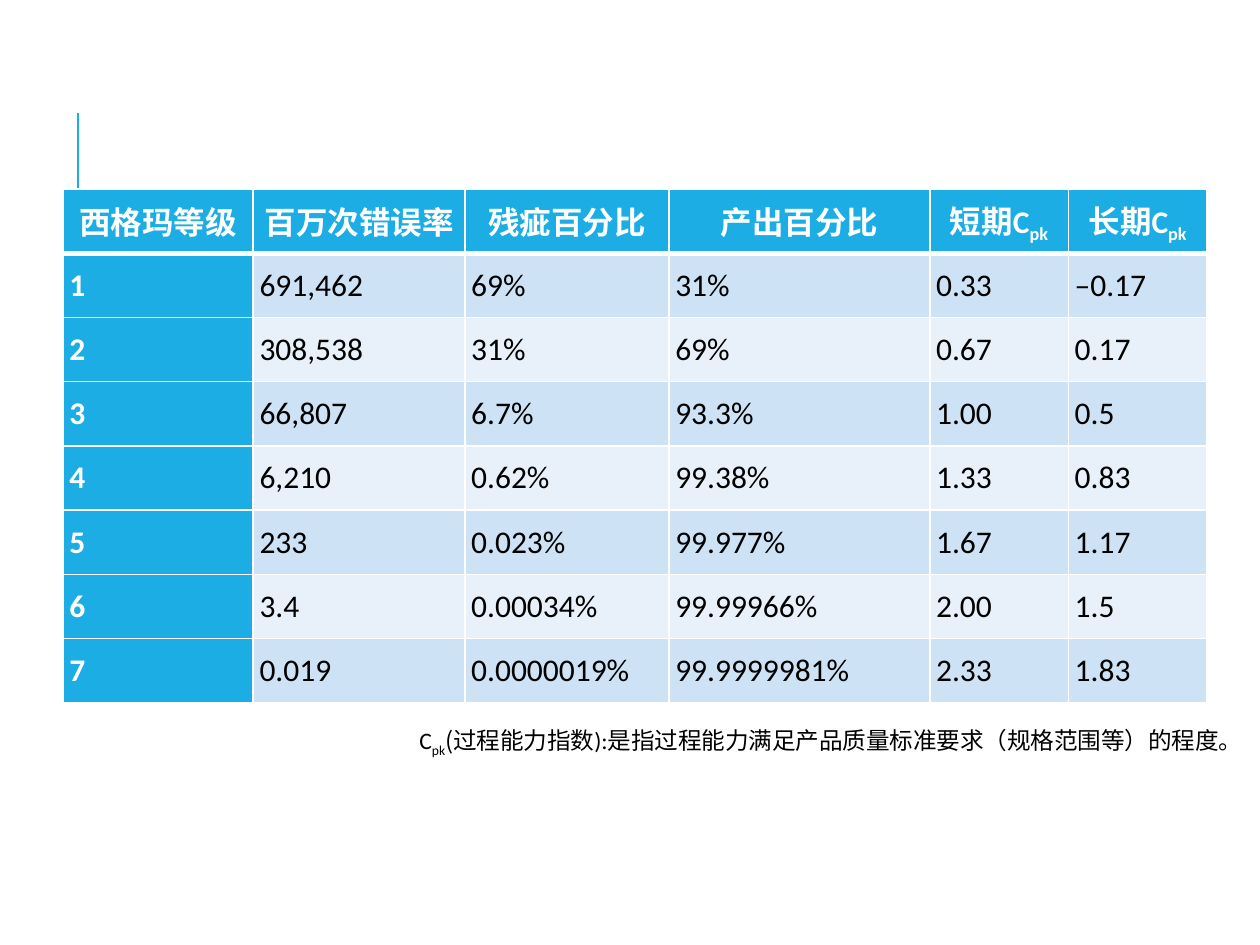
from lxml.etree import SubElement
from pptx import Presentation
from pptx.dml.color import RGBColor
from pptx.enum.shapes import MSO_CONNECTOR
from pptx.enum.text import MSO_ANCHOR, PP_ALIGN
from pptx.oxml.ns import qn
from pptx.util import Inches, Pt

BLUE = RGBColor(0x1C, 0xAD, 0xE4)
PALE_BLUE = RGBColor(0xCD, 0xE3, 0xF5)
PALEST_BLUE = RGBColor(0xE8, 0xF1, 0xFA)
WHITE = RGBColor(0xFF, 0xFF, 0xFF)
BLACK = RGBColor(0, 0, 0)
LATIN_FONT = "Calibri"
CHINESE_FONT = "Noto Sans CJK SC"

COLUMN_WIDTHS = [1.51, 1.68, 1.62, 2.07, 1.1, 1.1]
ROW_HEIGHT = 0.51
HEADINGS = [
    ["西格玛等级"], ["百万次错误率"], ["残疵百分比"], ["产出百分比"],
    ["短期C", "pk"], ["长期C", "pk"],
]
SIGMA_LEVELS = [
    ["1", "691,462", "69%", "31%", "0.33", "–0.17"],
    ["2", "308,538", "31%", "69%", "0.67", "0.17"],
    ["3", "66,807", "6.7%", "93.3%", "1.00", "0.5"],
    ["4", "6,210", "0.62%", "99.38%", "1.33", "0.83"],
    ["5", "233", "0.023%", "99.977%", "1.67", "1.17"],
    ["6", "3.4", "0.00034%", "99.99966%", "2.00", "1.5"],
    ["7", "0.019", "0.0000019%", "99.9999981%", "2.33", "1.83"],
]


def add_run(paragraph, text, size, color, bold=False, font=LATIN_FONT):
    run = paragraph.add_run()
    run.text = text
    run.font.size = Pt(size)
    run.font.bold = bold
    run.font.color.rgb = color
    run.font.name = font
    properties = run.font._element
    SubElement(properties, qn("a:ea"), typeface=CHINESE_FONT)
    if text == "pk":
        properties.set("baseline", "-25000")


def add_border(cell, side, points):
    border = SubElement(cell._tc.get_or_add_tcPr(), qn(f"a:{side}"), w=str(Pt(points)))
    fill = SubElement(border, qn("a:solidFill"))
    SubElement(fill, qn("a:srgbClr"), val=str(WHITE))


def fill_cell(cell, parts, fill, color, bold, alignment, top=1, bottom=1):
    for side, points in (("lnL", 1), ("lnR", 1), ("lnT", top), ("lnB", bottom)):
        add_border(cell, side, points)
    cell.fill.solid()
    cell.fill.fore_color.rgb = fill
    cell.vertical_anchor = MSO_ANCHOR.MIDDLE
    cell.margin_left = cell.margin_right = Inches(0.05)
    cell.margin_top = cell.margin_bottom = Inches(0.03)
    paragraph = cell.text_frame.paragraphs[0]
    paragraph.alignment = alignment
    for part in parts:
        add_run(paragraph, part, 18, color, bold)


def add_sigma_table(slide):
    row_count = len(SIGMA_LEVELS) + 1
    table = slide.shapes.add_table(
        row_count, len(HEADINGS), Inches(0.5), Inches(1.5),
        Inches(sum(COLUMN_WIDTHS)), Inches(ROW_HEIGHT * row_count),
    ).table
    for column, width in zip(table.columns, COLUMN_WIDTHS):
        column.width = Inches(width)
    for row in table.rows:
        row.height = Inches(ROW_HEIGHT)
    for column, heading in enumerate(HEADINGS):
        fill_cell(table.cell(0, column), heading, BLUE, WHITE, True,
                  PP_ALIGN.CENTER, bottom=3)
    for row, values in enumerate(SIGMA_LEVELS, start=1):
        band = PALE_BLUE if row % 2 else PALEST_BLUE
        for column, value in enumerate(values):
            is_level = column == 0
            fill_cell(table.cell(row, column), [value],
                      BLUE if is_level else band, WHITE if is_level else BLACK,
                      is_level, PP_ALIGN.JUSTIFY, top=3 if row == 1 else 1)


def add_title_rule(slide):
    rule = slide.shapes.add_connector(
        MSO_CONNECTOR.STRAIGHT, Inches(0.62), Inches(1.9), Inches(0.62), Inches(0.9))
    rule.line.color.rgb = BLUE
    rule.line.width = Pt(1.5)
    SubElement(rule._element.spPr, qn("a:effectLst"))


def add_cpk_note(slide):
    note = slide.shapes.add_textbox(
        Inches(3.23), Inches(5.71), Inches(7.76), Inches(0.33)).text_frame
    note.word_wrap = True
    paragraph = note.paragraphs[0]
    add_run(paragraph, "C", 13.5, BLACK)
    add_run(paragraph, "pk", 13.5, BLACK)
    add_run(paragraph, "(", 13.5, BLACK, font=CHINESE_FONT)
    add_run(paragraph, "过程能力指数):是指过程能力满足产品质量标准要求（规格范围等）的程度。",
            13.5, BLACK)


def main():
    presentation = Presentation()
    presentation.slide_width = Inches(10)
    presentation.slide_height = Inches(7.5)
    slide = presentation.slides.add_slide(presentation.slide_layouts[6])
    add_title_rule(slide)
    add_sigma_table(slide)
    add_cpk_note(slide)
    presentation.save("out.pptx")


if __name__ == "__main__":
    main()
